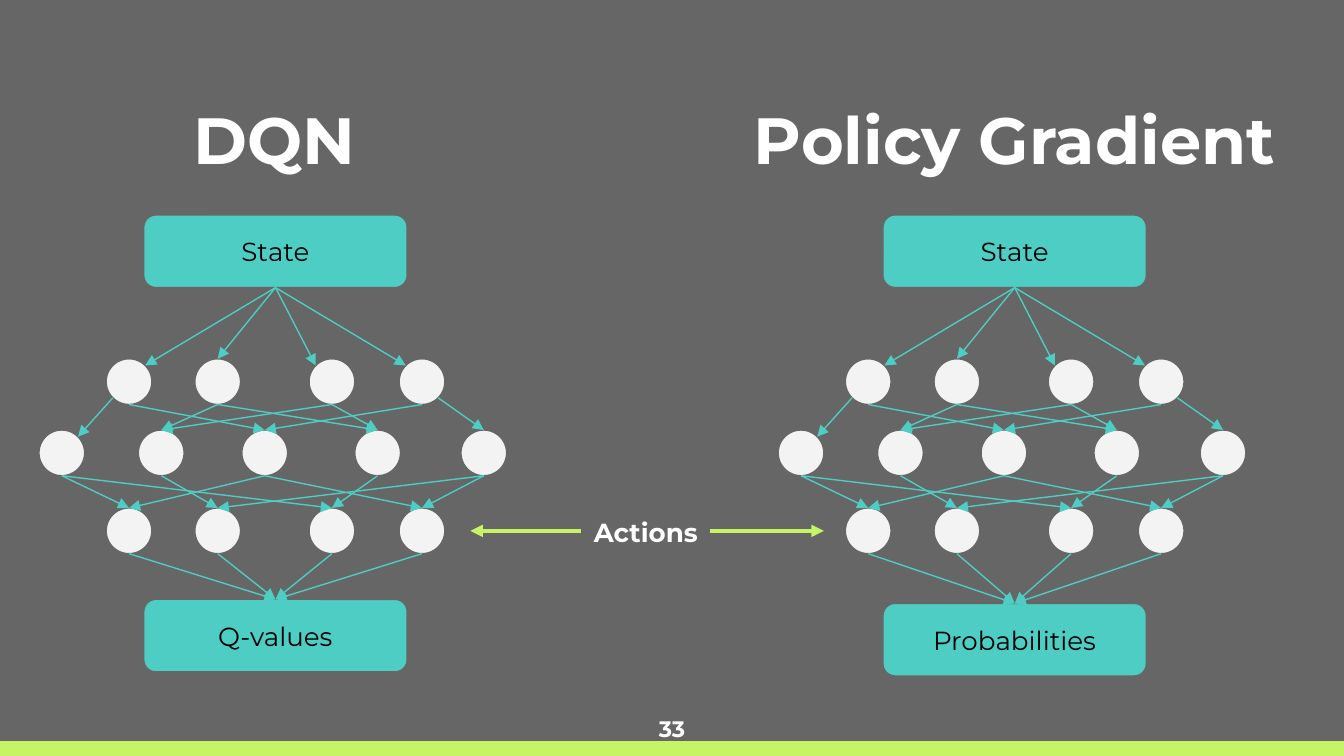
from pptx import Presentation
from pptx.dml.color import RGBColor
from pptx.enum.shapes import MSO_CONNECTOR as Line, MSO_SHAPE as Shape
from pptx.enum.text import MSO_ANCHOR as Anchor, PP_ALIGN as Align
from pptx.oxml.ns import qn
from pptx.util import Inches, Pt
from lxml.etree import SubElement

THEME = dict(font="Montserrat", back="666666", teal="4ECDC4", lime="C7F464",
             node="F3F3F3", white="FFFFFF", black="000000",
             title=35, label=14, number=12, thin=0.75, thick=2.25)

# Widescreen page, 16:9
PAGE_WIDTH = 10
PAGE_HEIGHT = PAGE_WIDTH * 9 / 16
BAR_HEIGHT = 0.11

# Content: title, title area (left, width), output label, output top, left shift
NETWORKS = [
    ("DQN", (0.87, 2.35), "Q-values", 4.46, 0),
    ("Policy Gradient", (4.9, 5.3), "Probabilities", 4.49, 5.5),
]
INPUT_LABEL = "State"
MIDDLE_LABEL = "Actions"
PAGE_NUMBER = "33"

# Network layout: centre height and centre positions of each layer
OUTER = (0.96, 1.62, 2.47, 3.14)
LAYERS = [
    (2.84, OUTER),
    (3.37, (0.46, 1.2, 1.97, 2.81, 3.6)),
    (3.95, OUTER),
]
RADIUS = 0.17
BOX_LEFT, BOX_WIDTH, BOX_HEIGHT, INPUT_TOP = 1.07, 1.96, 0.54, 1.6

# Points on a circle, as fractions of its radius
TOP, BOTTOM = (0, -1), (0, 1)
TOP_LEFT, TOP_RIGHT = (-0.71, -0.71), (0.71, -0.71)
BOTTOM_LEFT, BOTTOM_RIGHT = (-0.71, 0.71), (0.71, 0.71)

INPUT_ENDS = (TOP_RIGHT, TOP, TOP_LEFT, TOP_LEFT)
# Links to the next layer: from node, to node, start point, end point
LINKS = [
    [(0, 0, BOTTOM_LEFT, TOP_RIGHT), (3, 4, BOTTOM_RIGHT, TOP)]
    + [(a, b, BOTTOM, TOP)
       for a, b in ((2, 3), (1, 1), (0, 2), (3, 2), (2, 1), (1, 3))],
    [(a, b, BOTTOM, TOP)
     for a, b in ((0, 0), (4, 3), (3, 2), (1, 1),
                  (2, 0), (2, 3), (0, 2), (4, 1))],
]


def color(name):
    return RGBColor.from_string(THEME[name])


def write(shape, text, size, ink, bold=False, align=Align.CENTER,
          anchor=Anchor.TOP, bottom=0.1):
    frame = shape.text_frame
    frame.word_wrap = True
    frame.vertical_anchor = anchor
    frame.margin_left = frame.margin_right = frame.margin_top = Inches(0.1)
    frame.margin_bottom = Inches(bottom)
    para = frame.paragraphs[0]
    para.text, para.alignment = text, align
    font = para.font
    font.name, font.size, font.bold = THEME["font"], Pt(THEME[size]), bold
    font.color.rgb = color(ink)


def add_text(page, area, *args, **kwargs):
    write(page.shapes.add_textbox(*map(Inches, area)), *args, **kwargs)


def add_solid(page, kind, area, fill, outlined=True):
    shape = page.shapes.add_shape(kind, *map(Inches, area))
    shape.shadow.inherit = False
    shape.fill.solid()
    shape.fill.fore_color.rgb = color(fill)
    if outlined:
        shape.line.color.rgb = color("back")
        shape.line.width = Pt(THEME["thin"])
    else:
        shape.line.fill.background()
    return shape


def add_box(page, left, top, label):
    box = add_solid(page, Shape.FLOWCHART_ALTERNATE_PROCESS,
                    (left, top, BOX_WIDTH, BOX_HEIGHT), "teal")
    write(box, label, "label", "black", anchor=Anchor.MIDDLE)
    return box


def add_arrow(page, start, end, ink="teal", width="thin"):
    arrow = page.shapes.add_connector(Line.STRAIGHT, *map(Inches, start + end))
    arrow.line.color.rgb = color(ink)
    arrow.line.width = Pt(THEME[width])
    SubElement(arrow.line._get_or_add_ln(), qn("a:tailEnd"), type="triangle")
    SubElement(arrow._element.spPr, qn("a:effectLst"))
    return arrow


def on_circle(center, point):
    return tuple(c + RADIUS * p for c, p in zip(center, point))


def add_network(page, title, title_area, output, output_top, shift):
    left, width = title_area
    add_text(page, (left, 0.14, width, 1.62), title, "title", "white",
             bold=True, anchor=Anchor.BOTTOM, bottom=0.44)
    state = add_box(page, BOX_LEFT + shift, INPUT_TOP, INPUT_LABEL)
    result = add_box(page, BOX_LEFT + shift, output_top, output)

    # Nodes
    layers = [[(x + shift, y) for x in xs] for y, xs in LAYERS]
    for x, y in (center for layer in layers for center in layer):
        add_solid(page, Shape.OVAL,
                  (x - RADIUS, y - RADIUS, 2 * RADIUS, 2 * RADIUS), "node")

    # Arrows from the input, between layers, and to the output
    middle = BOX_LEFT + shift + BOX_WIDTH / 2
    for center, point in zip(layers[0], INPUT_ENDS):
        arrow = add_arrow(page, (middle, INPUT_TOP + BOX_HEIGHT),
                          on_circle(center, point))
        arrow.begin_connect(state, 2)
    for upper, lower, links in zip(layers, layers[1:], LINKS):
        for source, target, start, end in links:
            add_arrow(page, on_circle(upper[source], start),
                      on_circle(lower[target], end))
    for center in layers[-1]:
        arrow = add_arrow(page, on_circle(center, BOTTOM), (middle, output_top))
        arrow.end_connect(result, 0)


def main():
    deck = Presentation()
    deck.slide_width, deck.slide_height = Inches(PAGE_WIDTH), Inches(PAGE_HEIGHT)
    page = deck.slides.add_slide(deck.slide_layouts[6])
    page.background.fill.solid()
    page.background.fill.fore_color.rgb = color("back")

    # Footer
    add_solid(page, Shape.RECTANGLE,
              (0, PAGE_HEIGHT - BAR_HEIGHT, PAGE_WIDTH, BAR_HEIGHT),
              "lime", outlined=False)
    add_text(page, (4.7, 5.22, 0.6, 0.34), PAGE_NUMBER, "number", "white",
             bold=True)

    for network in NETWORKS:
        add_network(page, *network)

    # Shared label pointing at both last layers
    add_text(page, (4.32, 3.74, 1.63, 0.34), MIDDLE_LABEL, "label", "white",
             bold=True, align=Align.LEFT)
    for start, end in ((4.32, 3.5), (5.28, 6.13)):
        add_arrow(page, (start, 3.95), (end, 3.95), "lime", "thick")

    deck.save("out.pptx")


if __name__ == "__main__":
    main()
